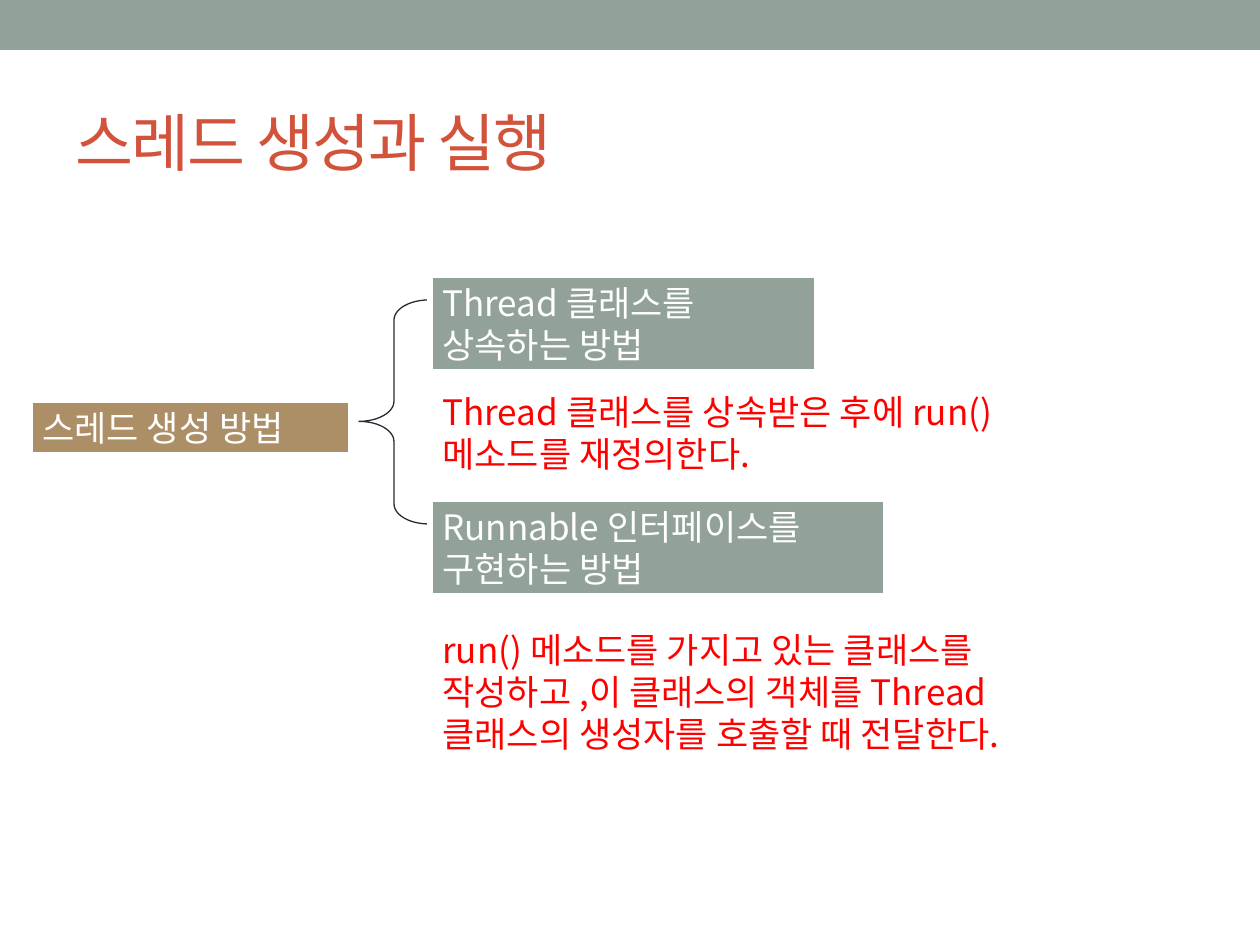
from dataclasses import dataclass
from lxml.etree import SubElement
from pptx import Presentation
from pptx.dml.color import RGBColor
from pptx.enum.shapes import MSO_SHAPE as Shape
from pptx.enum.text import MSO_ANCHOR as Anchor
from pptx.oxml.ns import qn
from pptx.util import Emu, Pt

PX = 914400 / 126


@dataclass(frozen=True)
class Theme:
    sage: str = "93A299"
    tan: str = "AD8F67"
    title: str = "D2533C"
    note: str = "FF0000"
    white: str = "FFFFFF"
    ink: str = "292934"
    title_font: str = "Arial"
    font: str = "Noto Sans CJK KR"
    title_size: float = 36
    size: float = 20
    border: float = 3.5
    thin: float = 0.75


THEME = Theme()
COLUMN = 430  # left edge shared by the methods and their notes

BAND = (0, 0, 1260, 50)
TITLE = ("스레드 생성과 실행", (63, 73, 1134, 136))
BRACE = ((359, 300, 70, 224), (0.287, 0.542))
BOXES = [
    ("스레드 생성 방법", (30, 400, 321, 55), THEME.tan),
    ("Thread 클래스를 상속하는 방법", (COLUMN, 275, 387, 97), THEME.sage),
    ("Runnable 인터페이스를 구현하는 방법", (COLUMN, 499, 456, 97), THEME.sage),
]
NOTES = [
    ("Thread 클래스를 상속받은 후에 run() 메소드를 재정의한다.",
     (COLUMN, 384, 630, 97)),
    ("run() 메소드를 가지고 있는 클래스를 작성하고 ,이 클래스의 객체를 "
     "Thread 클래스의 생성자를 호출할 때 전달한다.",
     (COLUMN, 622, 630, 183)),
]


def emu(box):
    return [Emu(round(length * PX)) for length in box]


def add_preset(slide, kind, box, fill=None, line=None, width=0):
    shape = slide.shapes.add_shape(kind, *emu(box))
    shape.shadow.inherit = False
    for part, color in ((shape.fill, fill), (shape.line.fill, line)):
        if color:
            part.solid()
            part.fore_color.rgb = RGBColor.from_string(color)
        else:
            part.background()
    if line:
        shape.line.width = Pt(width)
    return shape


def write(shape, text, *, color, size=THEME.size, font=THEME.font,
          anchor=Anchor.TOP, spacing=None):
    frame = shape.text_frame
    frame.word_wrap = True
    frame.vertical_anchor = anchor
    paragraph = frame.paragraphs[0]
    paragraph.alignment = 1  # left
    run = paragraph.add_run()
    run.text = text
    run.font.name = font
    run.font.size = Pt(size)
    run.font.color.rgb = RGBColor.from_string(color)
    properties = run.font._element if hasattr(run.font, "_element") else run._r.get_or_add_rPr()
    SubElement(properties, qn("a:ea")).set("typeface", THEME.font)
    if spacing is not None:
        properties.set("spc", str(round(spacing * 100)))


def main():
    presentation = Presentation()
    presentation.slide_width, presentation.slide_height = emu((1260, 945))
    slide = presentation.slides.add_slide(presentation.slide_layouts[6])

    add_preset(slide, Shape.RECTANGLE, BAND, fill=THEME.sage)

    text, box = TITLE
    write(slide.shapes.add_textbox(*emu(box)), text, color=THEME.title,
          size=THEME.title_size, font=THEME.title_font,
          anchor=Anchor.MIDDLE, spacing=-1)

    box, adjustments = BRACE
    brace = add_preset(slide, Shape.LEFT_BRACE, box, line=THEME.ink, width=THEME.thin)
    for index, value in enumerate(adjustments):
        brace.adjustments[index] = value

    for text, box, fill in BOXES:
        shape = add_preset(slide, Shape.RECTANGLE, box, fill=fill,
                           line=THEME.white, width=THEME.border)
        write(shape, text, color=THEME.white)

    for text, box in NOTES:
        write(slide.shapes.add_textbox(*emu(box)), text, color=THEME.note)

    presentation.save("out.pptx")


if __name__ == "__main__":
    main()
